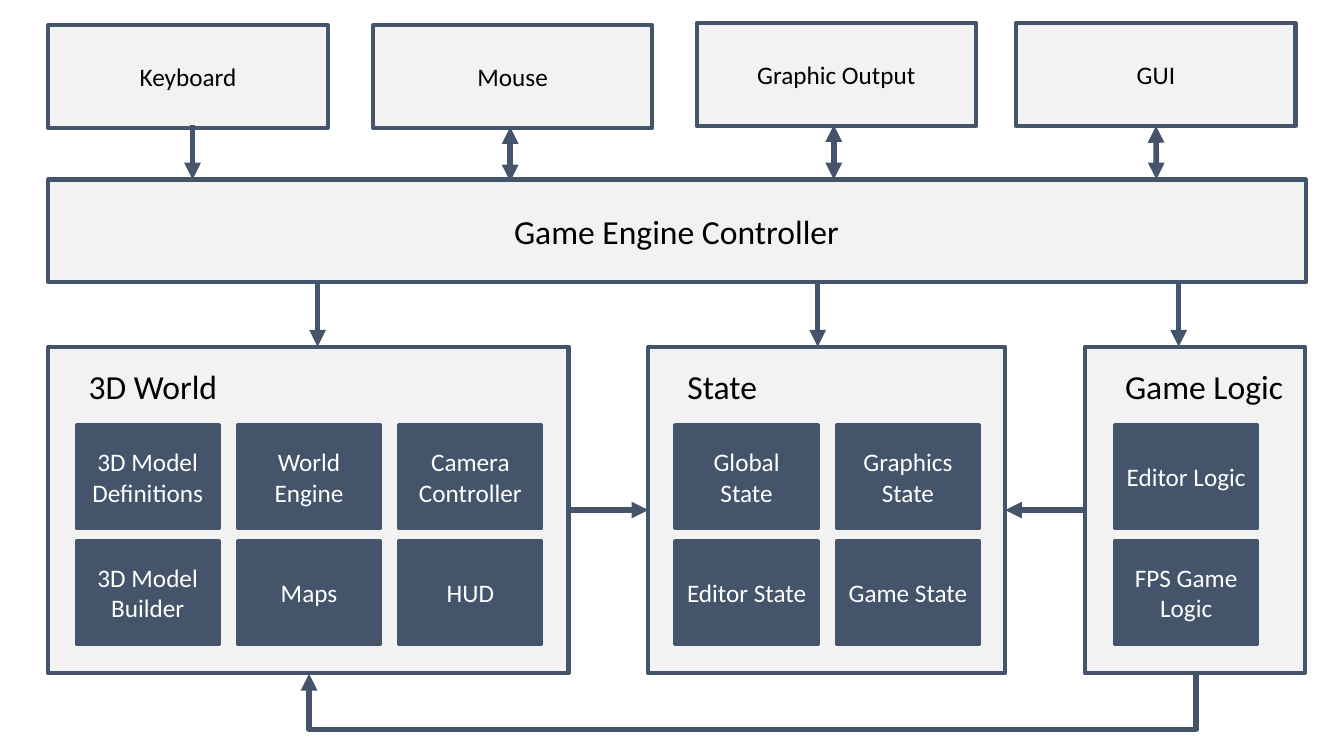
"""Build a slide that shows the architecture of a game engine."""
from lxml.etree import SubElement
from pptx import Presentation
from pptx.dml.color import RGBColor
from pptx.enum.shapes import MSO_CONNECTOR, MSO_SHAPE
from pptx.enum.text import MSO_ANCHOR, PP_ALIGN
from pptx.oxml.ns import qn
from pptx.util import Inches, Pt

SLATE = RGBColor(0x44, 0x54, 0x6A)
PALE = RGBColor(0xF2, 0xF2, 0xF2)
BLACK = RGBColor(0, 0, 0)
WHITE = RGBColor(255, 255, 255)

deck = Presentation()
deck.slide_width, deck.slide_height = Inches(13.33), Inches(7.5)
slide = deck.slides.add_slide(deck.slide_layouts[6])
shapes = slide.shapes


def add_box(x, y, w, h, text="", fill=PALE, color=BLACK):
    box = shapes.add_shape(MSO_SHAPE.RECTANGLE, *map(Inches, (x, y, w, h)))
    box.shadow.inherit = False
    box.fill.solid()
    box.fill.fore_color.rgb = fill
    box.line.color.rgb = SLATE
    box.line.width = Pt(3)
    if text:
        frame = box.text_frame
        frame.text = text
        frame.word_wrap = True
        frame.vertical_anchor = MSO_ANCHOR.MIDDLE
        para = frame.paragraphs[0]
        para.alignment = PP_ALIGN.CENTER
        font = para.runs[0].font
        font.name, font.size, font.color.rgb = "Calibri", Pt(18), color
    return box


def add_arrow(x1, y1, x2, y2, both=False, kind=MSO_CONNECTOR.STRAIGHT):
    arrow = shapes.add_connector(kind, *map(Inches, (x1, y1, x2, y2)))
    arrow.line.color.rgb = SLATE
    arrow.line.width = Pt(4)
    ends = ("a:headEnd", "a:tailEnd") if both else ("a:tailEnd",)
    for end in ends:
        SubElement(arrow.line._get_or_add_ln(), qn(end), type="triangle")
    SubElement(arrow._element.spPr, qn("a:effectLst"))
    return arrow


panels = {}
for name, x, w in (("World", 0.48, 5.16), ("State", 6.43, 3.54), ("Logic", 10.76, 2.18)):
    panels[name] = add_box(x, 3.44, w, 3.24)

add_box(0.48, 1.78, 12.47, 1.02)

devices = {}
for name, x, y in (
    ("Keyboard", 0.48, 0.25),
    ("Mouse", 3.7, 0.25),
    ("Graphic Output", 6.91, 0.23),
    ("GUI", 10.08, 0.23),
):
    devices[name] = add_box(x, y, 2.77, 1.02, name)

modules = (
    (0.76, (
        ("3D Model Definitions", "World Engine", "Camera Controller"),
        ("3D Model Builder", "Maps", "HUD"),
    )),
    (6.7, (("Global State", "Graphics State"), ("Editor State", "Game State"))),
    (11.06, (("Editor Logic",), ("FPS Game Logic",))),
)
for left, rows in modules:
    for row, names in enumerate(rows):
        for col, name in enumerate(names):
            add_box(left + 1.6 * col, 4.22 + 1.15 * row, 1.41, 1.02, name, SLATE, WHITE)

for title, x, y, w in (
    ("3D World", 0.78, 3.58, 1.98),
    ("State", 6.72, 3.58, 3.26),
    ("Game Logic", 11.06, 3.58, 1.89),
    ("Game Engine Controller", 5, 2.04, 4.97),
):
    label = shapes.add_textbox(*map(Inches, (x, y, w, 0.5)))
    label.text_frame.text = title
    label.text_frame.word_wrap = True
    font = label.text_frame.paragraphs[0].runs[0].font
    font.name, font.size, font.color.rgb = "Calibri", Pt(24), BLACK

for source, side, x1, x2, end in (("World", 3, 5.64, 6.43, 1), ("Logic", 1, 10.76, 9.97, 3)):
    arrow = add_arrow(x1, 5.06, x2, 5.06)
    arrow.begin_connect(panels[source], side)
    arrow.end_connect(panels["State"], end)

for x, y, both in ((1.91, 1.24, False), (5.06, 1.26, True), (8.27, 1.24, True)):
    add_arrow(x, y, x, y + 0.54, both)
add_arrow(11.47, 1.24, 11.47, 1.78, True).begin_connect(devices["GUI"], 2)

for x in (3.15, 8.11, 11.69):
    add_arrow(x, 2.79, x, 3.44)

loop = add_arrow(7.46, 2.28, 7.47, 11.08, kind=MSO_CONNECTOR.ELBOW)
props = loop._element.spPr
props.find(qn("a:xfrm")).set("rot", "5400000")
guides = props.find(qn("a:prstGeom")).find(qn("a:avLst"))
SubElement(guides, qn("a:gd"), name="adj1", fmla="val 5700000")

deck.save("out.pptx")
